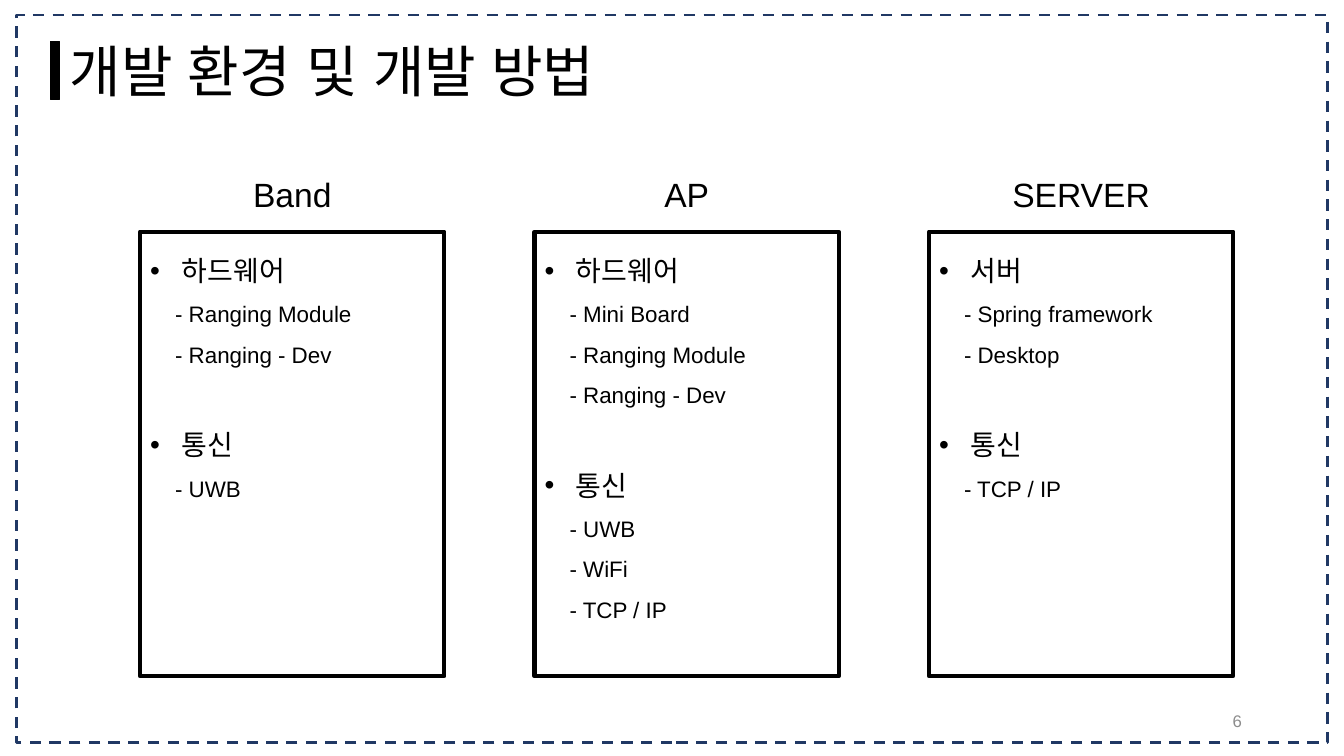
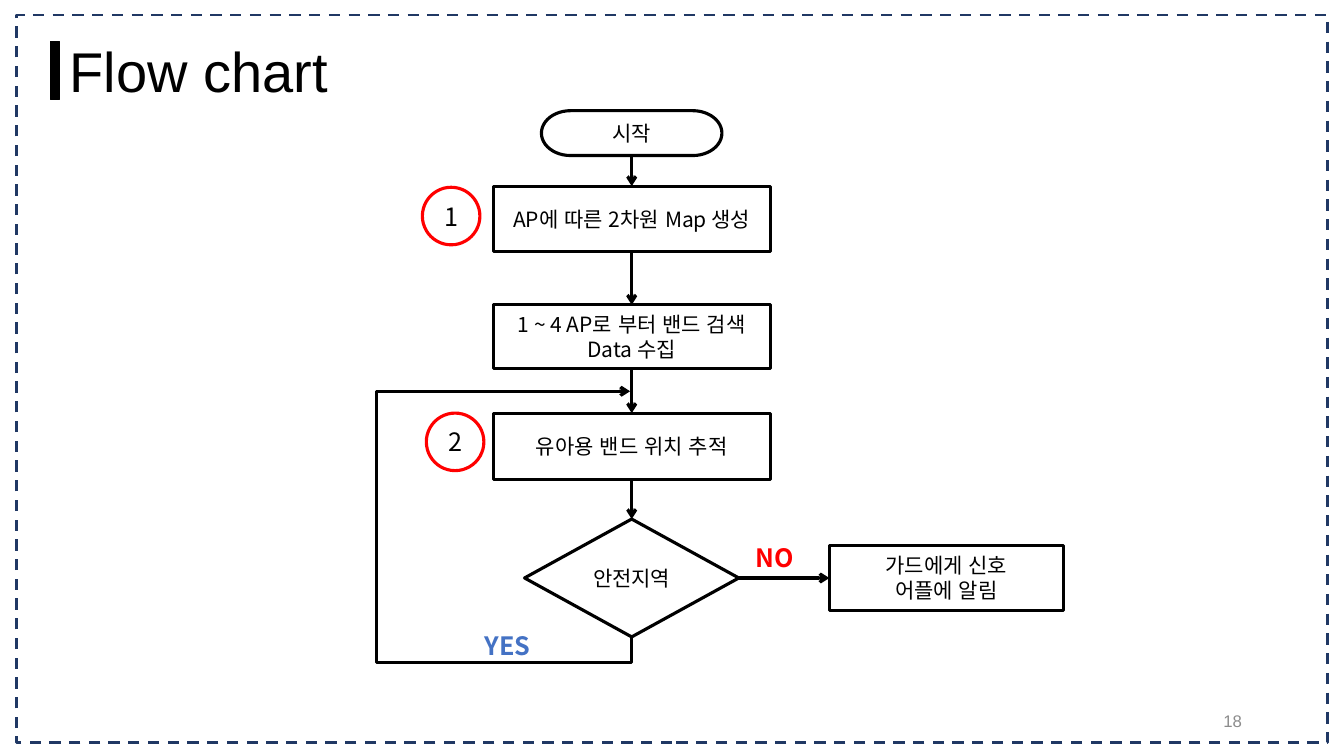
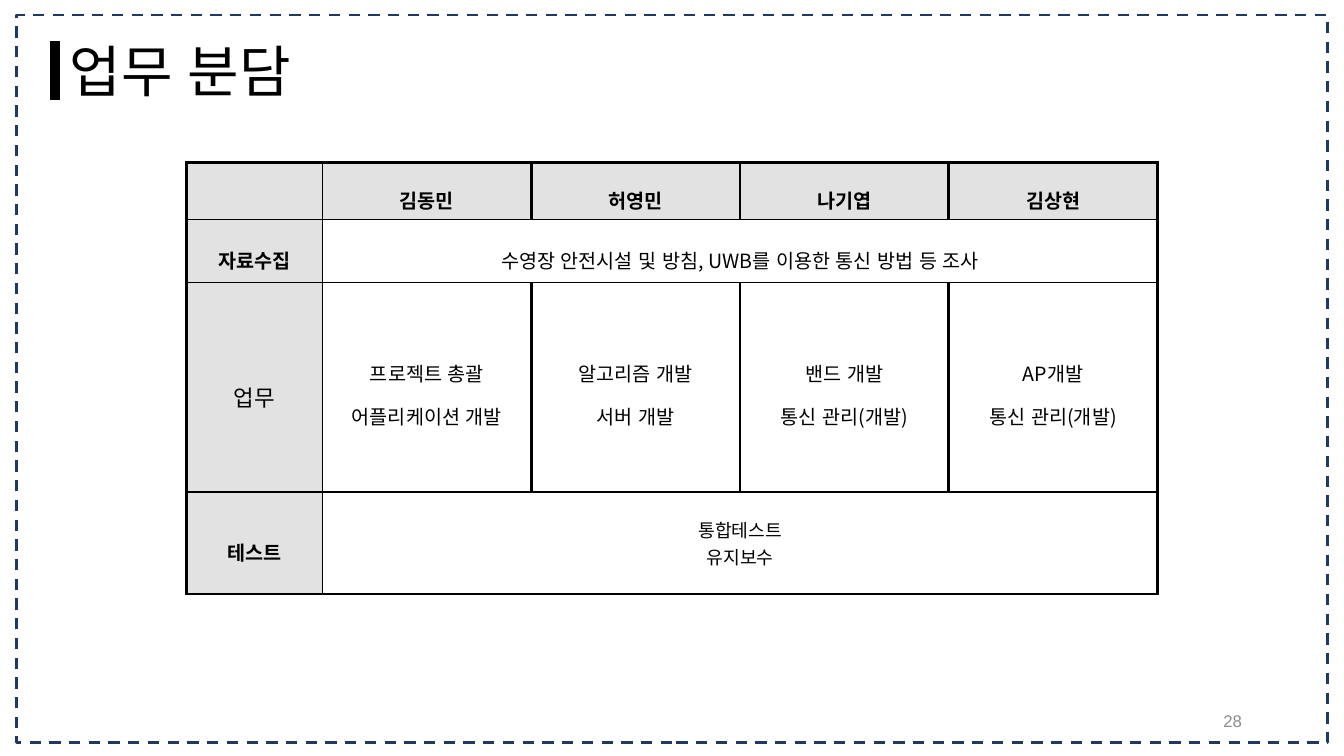
from lxml.etree import SubElement
from pptx import Presentation
from pptx.dml.color import RGBColor
from pptx.enum.dml import MSO_LINE
from pptx.enum.lang import MSO_LANGUAGE_ID
from pptx.enum.shapes import MSO_CONNECTOR, MSO_SHAPE as SHAPE
from pptx.enum.text import MSO_ANCHOR as ANCHOR, MSO_AUTO_SIZE, PP_ALIGN as ALIGN
from pptx.oxml.ns import qn
from pptx.util import Cm, Pt

BLACK = RGBColor(0x00, 0x00, 0x00)
NAVY = RGBColor(0x20, 0x38, 0x64)
GRAY = RGBColor(0x8C, 0x8C, 0x8C)
LABEL_FILL = RGBColor(0xD0, 0xCE, 0xCE)
RED = RGBColor(0xFF, 0x00, 0x00)
BLUE = RGBColor(0x44, 0x72, 0xC4)
SANS = "Arial"
KOREAN = "Noto Sans CJK KR"


def style(p, size, font=SANS, color=BLACK, bold=False, align=ALIGN.LEFT, spacing=1.0):
    """Format a paragraph and its runs, Latin and Korean alike."""
    p.alignment = align
    p.line_spacing = spacing
    p.space_before = Pt(0)
    for r in p.runs:
        r.font.name = font
        r.font.size = Pt(size)
        r.font.bold = bold
        r.font.color.rgb = color
        r.font.language_id = MSO_LANGUAGE_ID.KOREAN
        SubElement(r._r.get_or_add_rPr(), qn("a:ea"), typeface=font)


def add_outline(s, kind, x, y, w, h, color, width):
    """Add an unfilled shape; lengths in cm, line width in points."""
    sp = s.shapes.add_shape(kind, Cm(x), Cm(y), Cm(w), Cm(h))
    sp.shadow.inherit = False
    sp.fill.background()
    sp.line.color.rgb = color
    sp.line.width = Pt(width)
    return sp


prs = Presentation()
prs.slide_width, prs.slide_height = Cm(33.87), Cm(19.05)

# Shared title, bar, dashed frame and page number
COMPARISON, TITLE_ONLY = 4, 5
slides = []
for title, page, layout in [
    ("개발 환경 및 개발 방법", "6", COMPARISON),
    ("Flow chart", "18", TITLE_ONLY),
    ("업무 분담", "28", TITLE_ONLY),
]:
    s = prs.slides.add_slide(prs.slide_layouts[layout])
    slides.append(s)

    sp = s.shapes.title
    sp.left, sp.top, sp.width, sp.height = Cm(1.5), Cm(0.79), Cm(15.27), Cm(1.97)
    tf = sp.text_frame
    tf.text = title
    tf.auto_size = MSO_AUTO_SIZE.NONE
    tf.vertical_anchor = ANCHOR.TOP
    style(tf.paragraphs[0], 40)

    bar = add_outline(s, SHAPE.RECTANGLE, 1.27, 1.04, 0.23, 1.47, BLACK, 1)
    bar.fill.solid()
    bar.fill.fore_color.rgb = BLACK
    frame = add_outline(s, SHAPE.RECTANGLE, 0.41, 0.38, 33.05, 18.34, NAVY, 2)
    frame.line.dash_style = MSO_LINE.DASH

    tf = s.shapes.add_textbox(Cm(23.93), Cm(17.65), Cm(7.62), Cm(1.02)).text_frame
    tf.word_wrap = True
    tf.vertical_anchor = ANCHOR.MIDDLE
    tf.text = page
    style(tf.paragraphs[0], 12, color=GRAY, align=ALIGN.RIGHT)

environment, flow, duties = slides

# Development environment: three panels
PANELS = [
    ("Band", 3.12, [("하드웨어", ["Ranging Module", "Ranging - Dev"]),
                    ("통신", ["UWB"])]),
    ("AP", 1.85, [("하드웨어", ["Mini Board", "Ranging Module", "Ranging - Dev"]),
                  ("통신", ["UWB", "WiFi", "TCP / IP"])]),
    ("SERVER", 4.52, [("서버", ["Spring framework", "Desktop"]),
                      ("통신", ["TCP / IP"])]),
]
PANEL_X, PANEL_Y, PANEL_W, PANEL_H, PANEL_STEP = 3.53, 5.84, 7.67, 11.2, 9.94

*lists, spare = list(environment.placeholders)[1:]
spare._element.getparent().remove(spare._element)
for i, (sp, (label, label_w, sections)) in enumerate(zip(lists, PANELS)):
    x = PANEL_X + i * PANEL_STEP
    add_outline(environment, SHAPE.RECTANGLE, x, PANEL_Y, PANEL_W, PANEL_H, BLACK, 3)
    label_x = x + (PANEL_W - label_w) / 2
    tf = environment.shapes.add_textbox(Cm(label_x), Cm(4.27), Cm(label_w), Cm(1.27)).text_frame
    tf.word_wrap = True
    tf.text = label
    style(tf.paragraphs[0], 24, align=ALIGN.CENTER)

    sp.left, sp.top, sp.width, sp.height = Cm(x), Cm(PANEL_Y), Cm(PANEL_W), Cm(10.2)
    tf = sp.text_frame
    tf.auto_size = MSO_AUTO_SIZE.NONE
    tf.vertical_anchor = ANCHOR.TOP
    p = tf.paragraphs[0]
    for n, (heading, items) in enumerate(sections):
        if n:
            p = tf.add_paragraph()
        p.text = heading
        style(p, 20, spacing=1.5)
        if n:
            p.space_before = Pt(31)
        pPr = p._p.get_or_add_pPr()
        pPr.set("marL", str(Cm(0.79)))
        pPr.set("indent", str(Cm(-0.79)))
        SubElement(pPr, qn("a:buFont"), typeface=SANS)
        SubElement(pPr, qn("a:buChar"), char="•")
        for item in items:
            p = tf.add_paragraph()
            p.text = "- " + item
            style(p, 16, spacing=1.5)
            pPr = p._p.get_or_add_pPr()
            pPr.set("marL", str(Cm(0.63)))
            pPr.set("indent", "0")
            SubElement(pPr, qn("a:buNone"))

# Flow chart: nodes given by their centre x
AXIS = 15.92
NODES = [
    (SHAPE.FLOWCHART_TERMINATOR, AXIS, 2.79, 4.55, 1.13, "시작", 15, BLACK),
    (SHAPE.FLOWCHART_PROCESS, AXIS, 4.69, 6.98, 1.65, "AP에 따른 2차원 Map 생성", 15, BLACK),
    (SHAPE.FLOWCHART_PROCESS, AXIS, 7.68, 6.98, 1.6, "1 ~ 4 AP로 부터 밴드 검색 Data 수집", 15, BLACK),
    (SHAPE.FLOWCHART_PROCESS, AXIS, 10.41, 6.98, 1.68, "유아용 밴드 위치 추적", 15, BLACK),
    (SHAPE.FLOWCHART_DECISION, AXIS, 13.08, 5.4, 2.97, "안전지역", 15, BLACK),
    (SHAPE.FLOWCHART_PROCESS, 23.85, 13.74, 5.9, 1.65, "가드에게 신호\n어플에 알림", 15, BLACK),
    (SHAPE.OVAL, 11.37, 4.72, 1.45, 1.45, "1", 18, RED),
    (SHAPE.OVAL, 11.47, 10.41, 1.45, 1.45, "2", 18, RED),
]
nodes = []
for kind, cx, y, w, h, text, size, color in NODES:
    sp = add_outline(flow, kind, cx - w / 2, y, w, h, color, 2.25)
    tf = sp.text_frame
    tf.word_wrap = True
    tf.vertical_anchor = ANCHOR.MIDDLE
    tf.text = text
    for p in tf.paragraphs:
        style(p, size, KOREAN, align=ALIGN.CENTER)
    nodes.append(sp)

TOP, LEFT, BOTTOM, RIGHT = range(4)
start, make_map, collect, track, decision, alert = nodes[:6]
arrows = []
for begin, begin_side, end, end_side in [
    (start, BOTTOM, make_map, TOP),
    (make_map, BOTTOM, collect, TOP),
    (collect, BOTTOM, track, TOP),
    (track, BOTTOM, decision, TOP),
    (decision, RIGHT, alert, LEFT),
]:
    c = flow.shapes.add_connector(MSO_CONNECTOR.STRAIGHT, 0, 0, 0, 0)
    c.begin_connect(begin, begin_side)
    c.end_connect(end, end_side)
    arrows.append(c)

builder = flow.shapes.build_freeform(Cm(AXIS), Cm(16.05))
builder.add_line_segments(
    [(Cm(x), Cm(y)) for x, y in [(AXIS, 16.69), (9.5, 16.69), (9.5, 9.86), (15.88, 9.86)]],
    close=False)
loop_back = builder.convert_to_shape()
loop_back.fill.background()
for arrow in [*arrows, loop_back]:
    arrow.line.color.rgb = BLACK
    arrow.line.width = Pt(2.25)
    spPr = arrow._element.spPr
    SubElement(spPr.get_or_add_ln(), qn("a:tailEnd"), type="arrow")
    SubElement(spPr, qn("a:effectLst"))

for text, x, y, color in [("YES", 11.96, 15.77, BLUE), ("NO", 18.8, 13.54, RED)]:
    tf = flow.shapes.add_textbox(Cm(x), Cm(y), Cm(2.39), Cm(1.02)).text_frame
    tf.word_wrap = True
    tf.text = text
    style(tf.paragraphs[0], 18, KOREAN, color, bold=True)

# Division of duties: row height, size, line spacing, texts
ROWS = [
    (1.45, 14, 1.6, ["", "김동민", "허영민", "나기엽", "김상현"]),
    (1.58, 14, 1.6, ["자료수집", "수영장 안전시설 및 방침, UWB를 이용한 통신 방법 등 조사"]),
    (5.28, 14, 1.5, ["업무", "프로젝트 총괄\n어플리케이션 개발", "알고리즘 개발\n서버 개발",
                     "밴드 개발\n통신 관리(개발)", "AP개발\n통신 관리(개발)"]),
    (2.57, 13, 1.0, ["테스트", "통합테스트\n유지보수"]),
]
COLS = [3.43] + [5.26] * 4
THICK, THIN = Pt(2.25), Pt(1)

table = duties.shapes.add_table(
    len(ROWS), len(COLS), Cm(4.7), Cm(4.09),
    Cm(sum(COLS)), Cm(sum(row[0] for row in ROWS))).table
table.first_row = table.horz_banding = False
for column, w in zip(table.columns, COLS):
    column.width = Cm(w)
for i, (height, size, spacing, texts) in enumerate(ROWS):
    table.rows[i].height = Cm(height)
    merged = len(texts) == 2
    if merged:
        table.cell(i, 1).merge(table.cell(i, 4))
    for j in range(len(COLS)):
        cell = table.cell(i, j)
        tcPr = cell._tc.get_or_add_tcPr()
        borders = {
            "a:lnL": THIN if j == 1 else THICK,
            "a:lnR": THIN if j == 0 else THICK,
            "a:lnT": THICK if i == 0 else THIN,
            "a:lnB": THICK if i == len(ROWS) - 1 else THIN,
        }
        if merged and j > 1:
            del borders["a:lnL"]
        if merged and j in (2, 3):
            del borders["a:lnR"]
        for tag, width in borders.items():
            ln = SubElement(tcPr, qn(tag), w=str(width))
            SubElement(SubElement(ln, qn("a:solidFill")), qn("a:srgbClr"), val=str(BLACK))

        is_label = i == 0 or j == 0
        if is_label:
            cell.fill.solid()
            cell.fill.fore_color.rgb = LABEL_FILL
            SubElement(tcPr.find(qn("a:solidFill"))[0], qn("a:alpha"), val="59000")
        else:
            cell.fill.background()
        cell.vertical_anchor = ANCHOR.MIDDLE
        if j >= len(texts) or not texts[j]:
            continue
        cell.text_frame.text = texts[j]
        is_duty = texts[j] == "업무"
        for p in cell.text_frame.paragraphs:
            if is_label:
                style(p, 16 if is_duty else 14, KOREAN, bold=not is_duty,
                      align=ALIGN.CENTER, spacing=1.6)
            else:
                style(p, size, KOREAN, align=ALIGN.CENTER, spacing=spacing)

prs.save("out.pptx")
